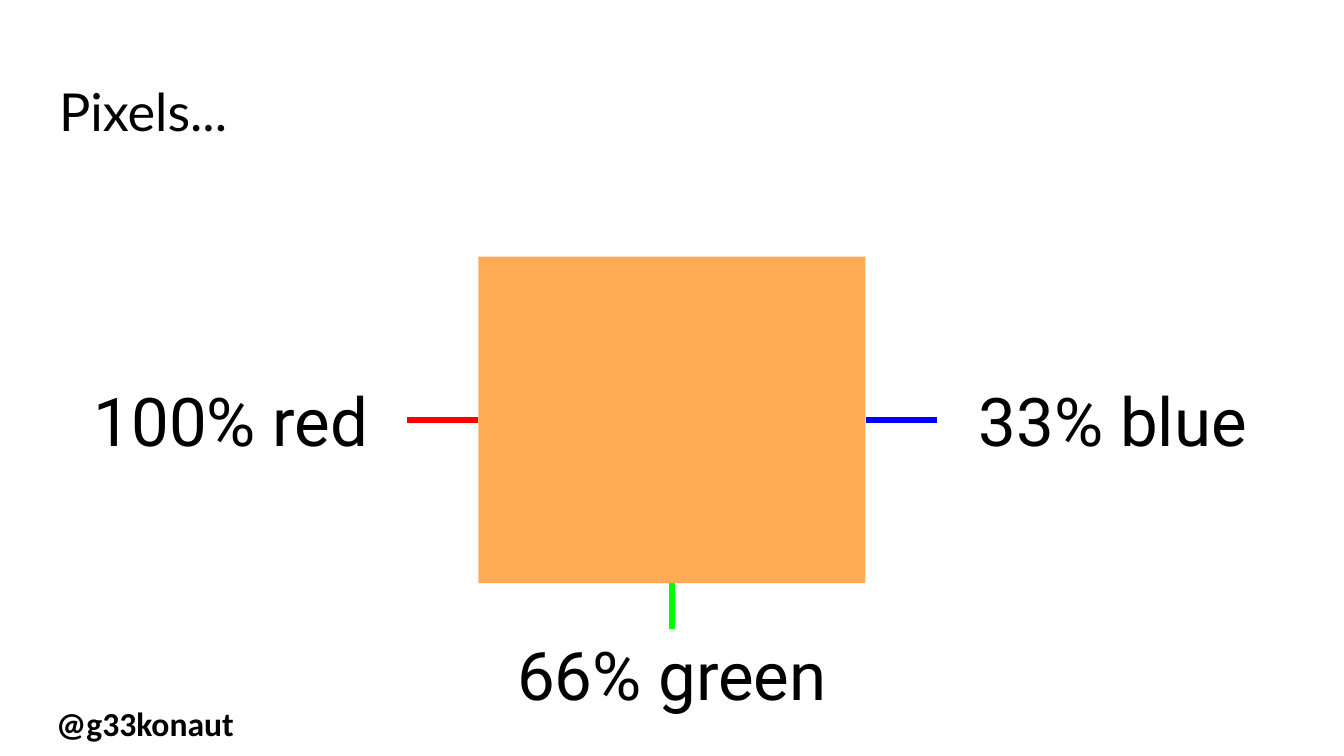
import pptx
import pptx.util
import pptx.dml.color
import pptx.enum.shapes
import pptx.enum.text
from lxml import etree

Inches = pptx.util.Inches
ANCHOR = pptx.enum.text.MSO_ANCHOR
ALIGN = pptx.enum.text.PP_ALIGN
DRAWING_NS = "http://schemas.openxmlformats.org/drawingml/2006/main"

LABEL_WIDTH, LABEL_HEIGHT = 2.62, 0.67
SIDE_GAP, BOTTOM_GAP = 0.53, 0.34


def color(hex_value):
    return pptx.dml.color.RGBColor.from_string(hex_value)


def write(shape, text, font, size, bold=False, align=ALIGN.LEFT, anchor=ANCHOR.TOP):
    frame = shape.text_frame
    frame.word_wrap = True
    frame.auto_size = pptx.enum.text.MSO_AUTO_SIZE.NONE
    frame.vertical_anchor = anchor
    frame.margin_left = frame.margin_right = Inches(0.1)
    frame.margin_top = frame.margin_bottom = Inches(0.1)
    paragraph = frame.paragraphs[0]
    paragraph.alignment = align
    run = paragraph.add_run()
    run.text = text
    run.font.name = font
    run.font.size = pptx.util.Pt(size)
    run.font.bold = bold
    run.font.color.rgb = color("000000")


def add_title(slide, left, top, width, height):
    title = slide.shapes.title
    title.left, title.top = Inches(left), Inches(top)
    title.width, title.height = Inches(width), Inches(height)
    write(title, "Pixels...", "Lato", 28)


def add_handle(slide, left, top, width, height):
    handle = slide.shapes.add_textbox(*map(Inches, (left, top, width, height)))
    write(handle, "@g33konaut", "Calibri", 18, bold=True)


def add_channel(slide, text, hex_value, label_left, label_top, start, end):
    """Add one colour channel: its label and the line joining it to the pixel."""
    label = slide.shapes.add_textbox(
        *map(Inches, (label_left, label_top, LABEL_WIDTH, LABEL_HEIGHT)))
    write(label, text, "Roboto", 36, align=ALIGN.CENTER, anchor=ANCHOR.MIDDLE)

    link = slide.shapes.add_connector(
        pptx.enum.shapes.MSO_CONNECTOR.STRAIGHT, *map(Inches, (*start, *end)))
    link.line.color.rgb = color(hex_value)
    link.line.width = pptx.util.Pt(3)
    etree.SubElement(link._element.spPr, f"{{{DRAWING_NS}}}effectLst")


def add_pixel_diagram(slide, left, top, width, height):
    # Pixel
    pixel = slide.shapes.add_shape(
        pptx.enum.shapes.MSO_SHAPE.RECTANGLE, *map(Inches, (left, top, width, height)))
    pixel.shadow.inherit = False
    pixel.fill.solid()
    pixel.fill.fore_color.rgb = color("FFAA55")
    pixel.line.fill.background()

    # Channels on the left, below and on the right
    right, bottom = left + width, top + height
    center, middle = left + width / 2, top + height / 2
    side_top = middle - LABEL_HEIGHT / 2
    add_channel(slide, "100% red", "FF0000", left - SIDE_GAP - LABEL_WIDTH, side_top,
                (left - SIDE_GAP, middle), (left, middle))
    add_channel(slide, "66% green", "00FF00", center - LABEL_WIDTH / 2, bottom + BOTTOM_GAP,
                (center, bottom + BOTTOM_GAP), (center, bottom))
    add_channel(slide, "33% blue", "0000FF", right + SIDE_GAP, side_top,
                (right, middle), (right + SIDE_GAP, middle))


def main():
    deck = pptx.Presentation()
    deck.slide_width = Inches(10)
    deck.slide_height = Inches(10 * 9 / 16)  # 16:9
    slide = deck.slides.add_slide(deck.slide_layouts[5])  # title only
    slide.background.fill.solid()
    slide.background.fill.fore_color.rgb = color("FFFFFF")

    add_handle(slide, 0.32, 5.13, 2.23, 0.3)
    add_title(slide, 0.34, 0.49, 9.32, 0.63)
    add_pixel_diagram(slide, 3.56, 1.91, 2.88, 2.43)
    deck.save("out.pptx")


if __name__ == "__main__":
    main()
